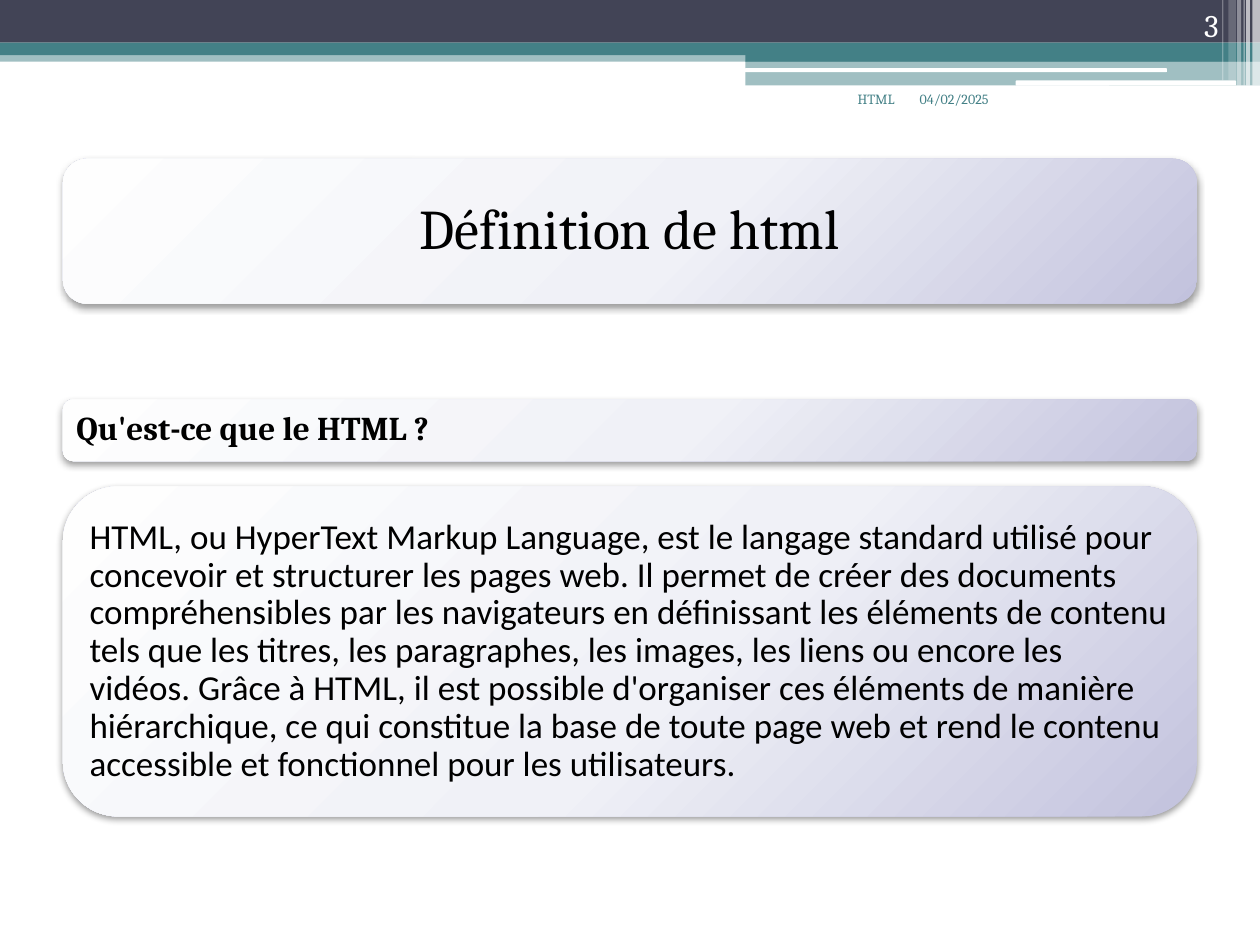
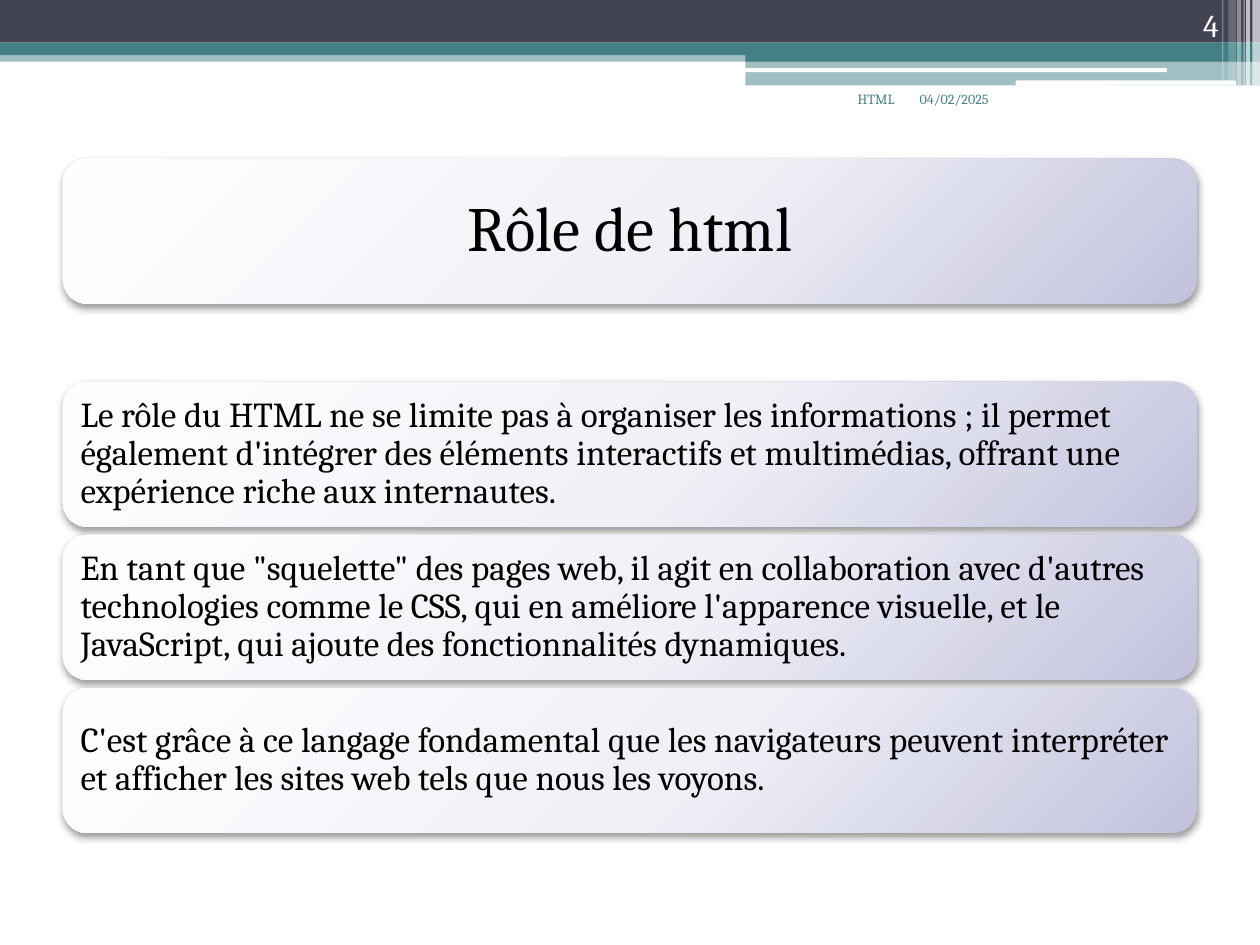
from lxml import etree
from pptx import Presentation
from pptx.dml.color import RGBColor
from pptx.enum.shapes import MSO_SHAPE
from pptx.enum.text import MSO_ANCHOR, MSO_AUTO_SIZE, PP_ALIGN
from pptx.oxml import parse_xml
from pptx.oxml.ns import nsdecls, qn
from pptx.util import Pt

RECTANGLE, ROUNDED = MSO_SHAPE.RECTANGLE, MSO_SHAPE.ROUNDED_RECTANGLE
TOP, MIDDLE, BOTTOM = MSO_ANCHOR.TOP, MSO_ANCHOR.MIDDLE, MSO_ANCHOR.BOTTOM
LEFT, CENTER, RIGHT = PP_ALIGN.LEFT, PP_ALIGN.CENTER, PP_ALIGN.RIGHT

NAVY = RGBColor(0x42, 0x44, 0x56)
TEAL = RGBColor(0x43, 0x80, 0x86)
WHITE = RGBColor(0xFF, 0xFF, 0xFF)
BLACK = RGBColor(0, 0, 0)
HEADING_FONT, TEXT_FONT = "Cambria", "Calibri"

CARD_LEFT, CARD_WIDTH, CARD_HEIGHT = 36, 648, 82.8
TITLE_TOP = 90.7

CARD_GRADIENT = f"""<a:gradFill {nsdecls('a')} rotWithShape="1"><a:gsLst>
<a:gs pos="0"><a:srgbClr val="FEFEFE"/></a:gs>
<a:gs pos="55000"><a:srgbClr val="F0F1F7"/></a:gs>
<a:gs pos="100000"><a:srgbClr val="C2C2DD"/></a:gs></a:gsLst>
<a:path path="circle"><a:fillToRect l="-40000" t="-90000" r="140000" b="190000"/></a:path>
</a:gradFill>"""
CARD_SHADOW = f"""<a:outerShdw {nsdecls('a')} blurRad="52000" dist="25400" dir="5400000"
rotWithShape="0"><a:srgbClr val="000000"><a:alpha val="40000"/></a:srgbClr></a:outerShdw>"""

# Header bands: kind, left, top, width, height, colour, opacity in percent
BANDS = [
    (RECTANGLE, 0, 28.8, 720, 6.4, TEAL, 50),
    (RECTANGLE, 0, 0, 720, 24.4, NAVY, 100),
    (RECTANGLE, 0, 24.4, 720, 7.2, TEAL, 100),
    (RECTANGLE, 426, 28, 294, 7.2, TEAL, 100),
    (RECTANGLE, 426, 34.8, 294, 14, TEAL, 50),
    (ROUNDED, 425.6, 39, 241.2, 2.2, WHITE, 100),
    (ROUNDED, 580.4, 46, 126, 2.9, WHITE, 100),
    (RECTANGLE, 715.7, 0, 4.3, 49, WHITE, 65),
    (RECTANGLE, 712.1, 0, 2.2, 49, WHITE, 65),
    (RECTANGLE, 710.6, 0, 0.7, 49, WHITE, 60),
    (RECTANGLE, 707, 0, 2.2, 49, WHITE, 40),
    (RECTANGLE, 702, 0, 4.3, 46, WHITE, 20),
    (RECTANGLE, 698.4, 0, 0.7, 46, WHITE, 30),
]

# Each slide: number, title, title size, cards (top, height, text, font, size, bold)
ROLE_TEXTS = [
    "Le rôle du HTML ne se limite pas à organiser les informations ; il permet également "
    "d'intégrer des éléments interactifs et multimédias, offrant une expérience riche aux "
    "internautes.",
    "En tant que \"squelette\" des pages web, il agit en collaboration avec d'autres "
    "technologies comme le CSS, qui en améliore l'apparence visuelle, et le JavaScript, "
    "qui ajoute des fonctionnalités dynamiques.",
    "C'est grâce à ce langage fondamental que les navigateurs peuvent interpréter et "
    "afficher les sites web tels que nous les voyons.",
]
DEFINITION = (
    "HTML, ou HyperText Markup Language, est le langage standard utilisé pour concevoir et "
    "structurer les pages web. Il permet de créer des documents compréhensibles par les "
    "navigateurs en définissant les éléments de contenu tels que les titres, les paragraphes, "
    "les images, les liens ou encore les vidéos. Grâce à HTML, il est possible d'organiser ces "
    "éléments de manière hiérarchique, ce qui constitue la base de toute page web et rend le "
    "contenu accessible et fonctionnel pour les utilisateurs."
)
SLIDES = [
    ("3", "Définition de html", 32, [
        (228.2, 35.3, "Qu'est-ce que le HTML ?", HEADING_FONT, 19, True),
        (277.9, 188.6, DEFINITION, TEXT_FONT, 20, False),
    ]),
    ("4", "Rôle de html", 36, [
        (218.2 + 87.5 * row, CARD_HEIGHT, text, HEADING_FONT, 20, False)
        for row, text in enumerate(ROLE_TEXTS)
    ]),
]


def add_card(slide, top, height):
    card = slide.shapes.add_shape(
        ROUNDED, Pt(CARD_LEFT), Pt(top), Pt(CARD_WIDTH), Pt(height))
    card.line.fill.background()
    card.shadow.inherit = False
    card.fill.background()
    properties = card.element.spPr
    properties.replace(properties.find(qn("a:noFill")), parse_xml(CARD_GRADIENT))
    properties.find(qn("a:effectLst")).append(parse_xml(CARD_SHADOW))
    return card


def write_text(shape, text, font, size, color, alignment, anchor, bold=False):
    frame = shape.text_frame
    frame.text = text
    frame.word_wrap = True
    frame.auto_size = MSO_AUTO_SIZE.NONE
    frame.vertical_anchor = anchor
    paragraph = frame.paragraphs[0]
    paragraph.alignment = alignment
    paragraph.font.name = font
    paragraph.font.size = Pt(size)
    paragraph.font.bold = bold
    paragraph.font.color.rgb = color
    return paragraph


presentation = Presentation()
presentation.slide_width, presentation.slide_height = Pt(720), Pt(540)
layout = presentation.slide_layouts.get_by_name("Title Only")

for number, title_text, title_size, cards in SLIDES:
    slide = presentation.slides.add_slide(layout)

    # The bands are drawn once and handed to the shared layout
    if number == SLIDES[0][0]:
        for kind, left, top, width, height, color, opacity in BANDS:
            band = slide.shapes.add_shape(kind, Pt(left), Pt(top), Pt(width), Pt(height))
            band.shadow.inherit = False
            band.line.fill.background()
            band.fill.solid()
            band.fill.fore_color.rgb = color
            if opacity < 100:
                color_element = band.element.spPr.find(qn("a:solidFill"))[0]
                etree.SubElement(color_element, qn("a:alpha")).set("val", str(opacity * 1000))
            layout.shapes.element.append(band.element)

    # Title, lying on its card
    add_card(slide, TITLE_TOP, CARD_HEIGHT)
    title = slide.shapes.title
    title.left, title.top = Pt(CARD_LEFT + 4), Pt(TITLE_TOP + 4)
    title.width, title.height = Pt(CARD_WIDTH - 8), Pt(CARD_HEIGHT - 8)
    write_text(title, title_text, HEADING_FONT, title_size, BLACK, CENTER, MIDDLE).line_spacing = 0.9
    slide.shapes.element.append(title.element)

    # Text cards
    for top, height, text, font, size, bold in cards:
        card = add_card(slide, top, height)
        frame = card.text_frame
        frame.margin_left = frame.margin_right = Pt(6)
        frame.margin_top = frame.margin_bottom = Pt(6)
        write_text(card, text, font, size, BLACK, LEFT, MIDDLE, bold).line_spacing = 0.9

    # Date, footer and slide number
    for left, top, width, height, text, size, color, alignment, anchor in [
        (518.4, 48.2, 75.6, 36, "04/02/2025", 8, TEAL, LEFT, TOP),
        (414, 48.2, 104.4, 36, "HTML", 8, TEAL, RIGHT, TOP),
        (643.7, 0, 59.8, 28.8, number, 18, WHITE, RIGHT, BOTTOM),
    ]:
        box = slide.shapes.add_textbox(Pt(left), Pt(top), Pt(width), Pt(height))
        write_text(box, text, HEADING_FONT, size, color, alignment, anchor)

presentation.save("out.pptx")
